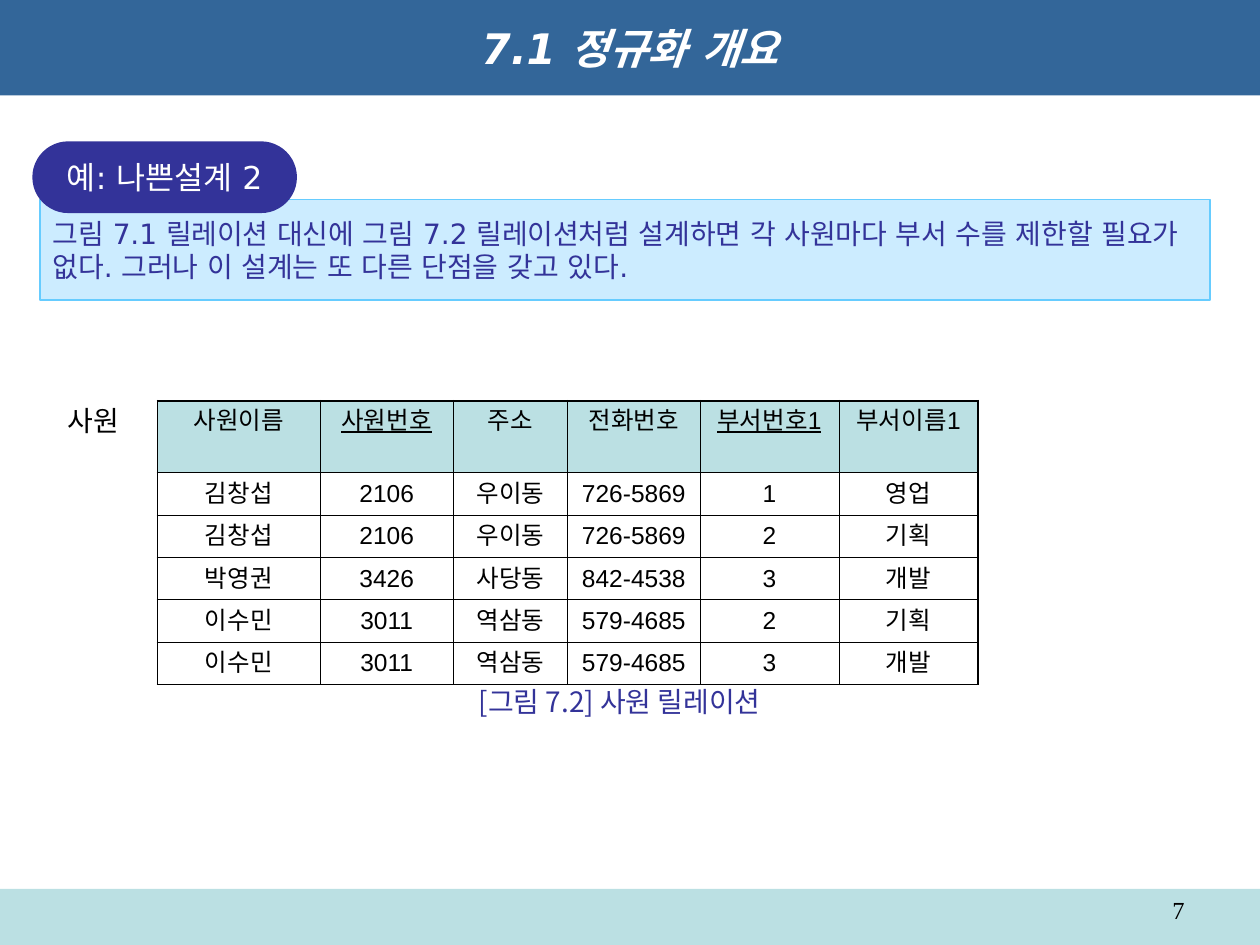
from lxml.etree import SubElement
from pptx import Presentation
from pptx.dml.color import RGBColor
from pptx.enum.shapes import MSO_SHAPE as Preset
from pptx.enum.text import MSO_ANCHOR as Anchor, PP_ALIGN as Align
from pptx.oxml.ns import qn
from pptx.util import Pt

COLORS = {
    "header": "336699",
    "pale": "BBE0E3",
    "panel": "CCECFF",
    "edge": "66CCFF",
    "navy": "333399",
    "white": "FFFFFF",
    "black": "000000",
}
COLUMNS = [93, 76, 65.5, 75.5, 79.5, 79.5]
HEADER_HEIGHT, ROW_HEIGHT = 41.2, 24.2
HEADINGS = ["사원이름", "사원번호", "주소", "전화번호", "부서번호1", "부서이름1"]
KEYS = {"사원번호", "부서번호1"}
EMPLOYEES = [
    ["김창섭", "2106", "우이동", "726-5869", "1", "영업"],
    ["김창섭", "2106", "우이동", "726-5869", "2", "기획"],
    ["박영권", "3426", "사당동", "842-4538", "3", "개발"],
    ["이수민", "3011", "역삼동", "579-4685", "2", "기획"],
    ["이수민", "3011", "역삼동", "579-4685", "3", "개발"],
]


def color(name):
    return RGBColor.from_string(COLORS[name])


def write(frame, text, size, face, ink, align=Align.LEFT):
    paragraph = frame.paragraphs[0]
    paragraph.alignment = align
    run = paragraph.add_run()
    run.text = text
    run.font.size = Pt(size)
    run.font.name = face
    run.font.color.rgb = color(ink)
    SubElement(run.font._element, qn("a:ea"), typeface=face)
    return run


def add_panel(slide, preset, box, fill, edge=None):
    panel = slide.shapes.add_shape(preset, *map(Pt, box))
    panel.shadow.inherit = False
    panel.fill.solid()
    panel.fill.fore_color.rgb = color(fill)
    if edge:
        panel.line.color.rgb = color(edge)
        panel.line.width = Pt(1)
    else:
        panel.line.fill.background()
    panel.text_frame.vertical_anchor = Anchor.MIDDLE
    return panel


def add_label(slide, box, text, size, face, ink, align=Align.LEFT,
              anchor=Anchor.TOP, wrap=False):
    frame = slide.shapes.add_textbox(*map(Pt, box)).text_frame
    frame.word_wrap = wrap
    frame.vertical_anchor = anchor
    write(frame, text, size, face, ink, align)


def set_title(slide, text):
    title = slide.shapes.title
    title.left, title.top, title.width, title.height = map(Pt, (0, 0, 720, 54.5))
    title.fill.solid()
    title.fill.fore_color.rgb = color("header")
    title.text_frame.vertical_anchor = Anchor.MIDDLE
    run = write(title.text_frame, text, 24, "DejaVu Sans", "white", Align.CENTER)
    run.font.bold = run.font.italic = True


def set_borders(cell, outer_sides):
    properties = cell._tc.get_or_add_tcPr()
    for position, side in enumerate("LRTB"):
        width = Pt(1.08 if side in outer_sides else 0.45)
        border = properties.makeelement(qn(f"a:ln{side}"), {"w": str(width)})
        fill = SubElement(border, qn("a:solidFill"))
        SubElement(fill, qn("a:srgbClr"), val=COLORS["black"])
        properties.insert(position, border)


def add_relation(slide, left, top):
    records = [HEADINGS] + EMPLOYEES
    height = HEADER_HEIGHT + ROW_HEIGHT * len(EMPLOYEES)
    relation = slide.shapes.add_table(
        len(records), len(COLUMNS), Pt(left), Pt(top), Pt(sum(COLUMNS)), Pt(height)
    ).table
    relation.horz_banding = False
    for column, width in zip(relation.columns, COLUMNS):
        column.width = Pt(width)
    last_row, last_column = len(records) - 1, len(COLUMNS) - 1
    for r, record in enumerate(records):
        relation.rows[r].height = Pt(ROW_HEIGHT if r else HEADER_HEIGHT)
        for c, value in enumerate(record):
            cell = relation.cell(r, c)
            if r == 0:
                cell.fill.solid()
                cell.fill.fore_color.rgb = color("pale")
            else:
                cell.fill.background()
            cell.vertical_anchor = Anchor.MIDDLE if r else Anchor.TOP
            run = write(cell.text_frame, value, 14, "Arial", "black", Align.CENTER)
            run.font.bold = False
            run.font.underline = value in KEYS
            edges = {"L": c == 0, "R": c == last_column, "T": r == 0, "B": r == last_row}
            set_borders(cell, {side for side, outer in edges.items() if outer})


def main():
    deck = Presentation()
    deck.slide_width, deck.slide_height = Pt(720), Pt(540)
    slide = deck.slides.add_slide(deck.slide_layouts[5])

    add_panel(slide, Preset.RECTANGLE, (0, 508, 720, 32), "pale")
    set_title(slide, "7.1 정규화 개요")
    add_label(slide, (516, 508, 168, 21), "7", 14, "Times New Roman", "black",
              Align.RIGHT, wrap=True)

    explanation = add_panel(slide, Preset.RECTANGLE, (23, 114, 668.5, 57.5),
                            "panel", "edge")
    write(explanation.text_frame,
          "그림 7.1 릴레이션 대신에 그림 7.2 릴레이션처럼 설계하면 각 사원마다 부서 수를 "
          "제한할 필요가 없다. 그러나 이 설계는 또 다른 단점을 갖고 있다.",
          16, "DejaVu Sans", "navy")

    example = add_panel(slide, Preset.ROUNDED_RECTANGLE, (18.5, 80.8, 151.2, 41), "navy")
    example.adjustments[0] = 0.5
    example.text_frame.word_wrap = False
    write(example.text_frame, "예: 나쁜설계 2", 18, "DejaVu Sans", "white", Align.CENTER)

    add_relation(slide, 90, 229)
    add_label(slide, (31.5, 227, 45.5, 26.5), "사원", 16, "Noto Sans CJK JP", "black")
    add_label(slide, (266.5, 387.5, 196.5, 26.5), "[그림 7.2] 사원 릴레이션", 16,
              "Noto Sans CJK KR", "navy", anchor=Anchor.MIDDLE)
    deck.save("out.pptx")


if __name__ == "__main__":
    main()
